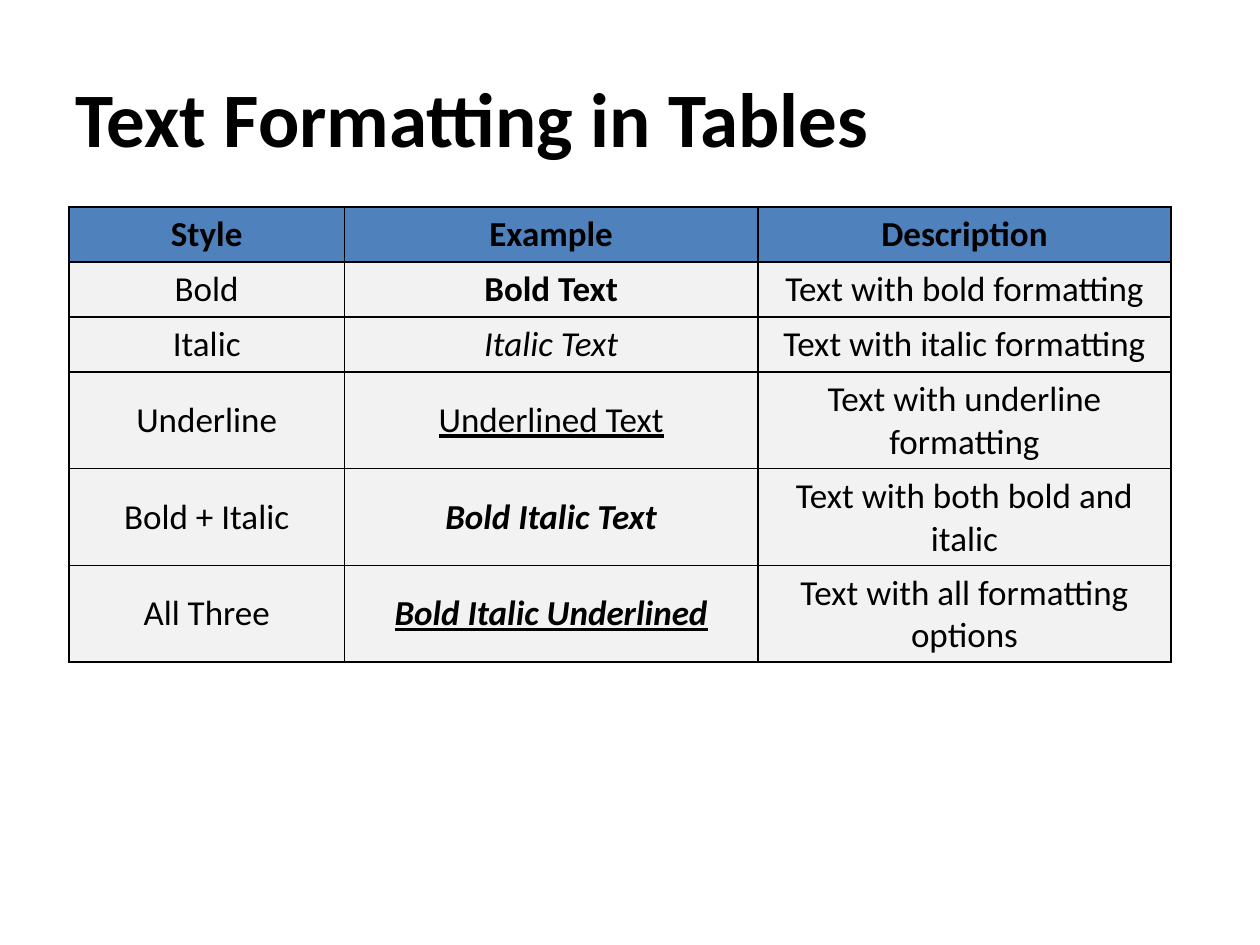
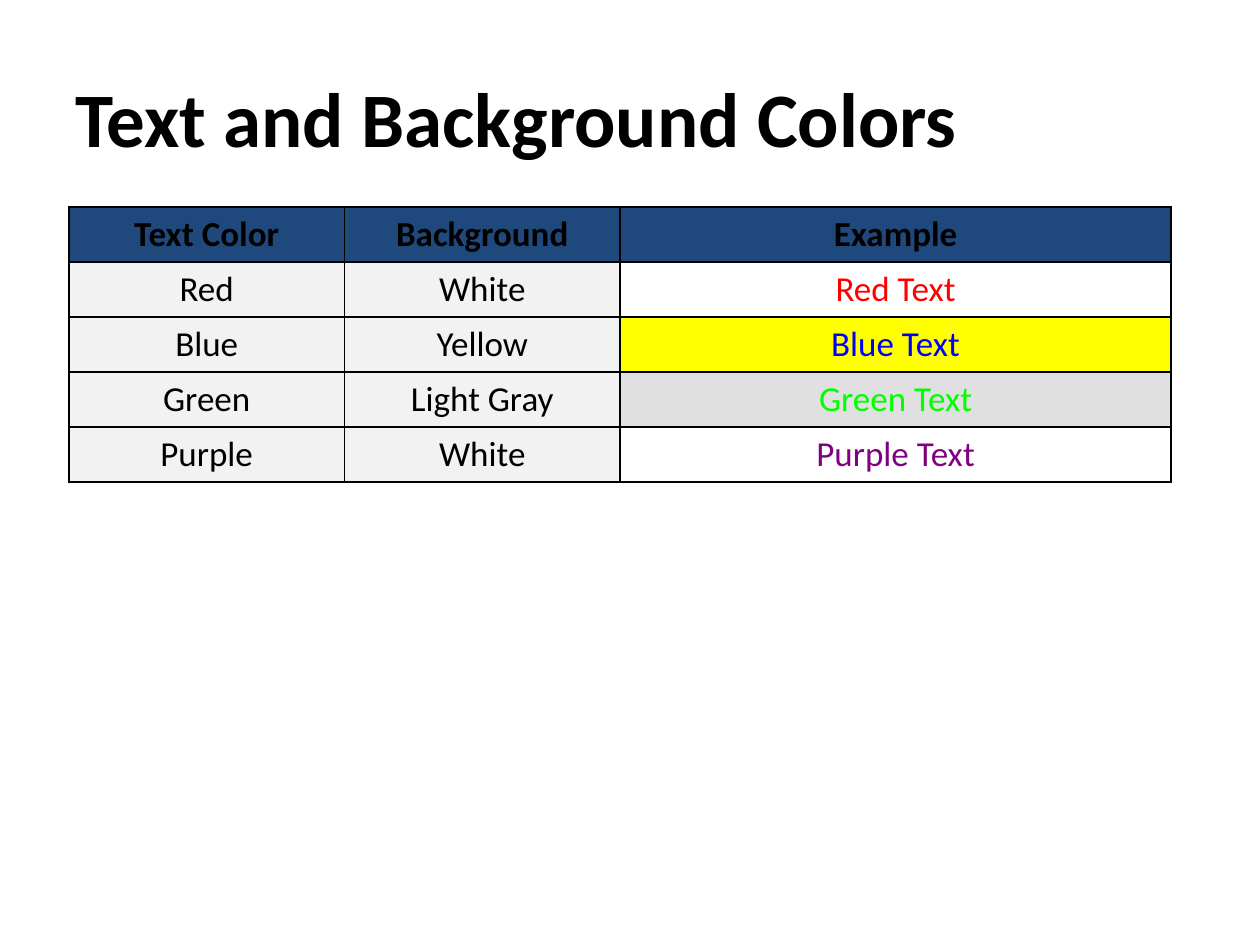
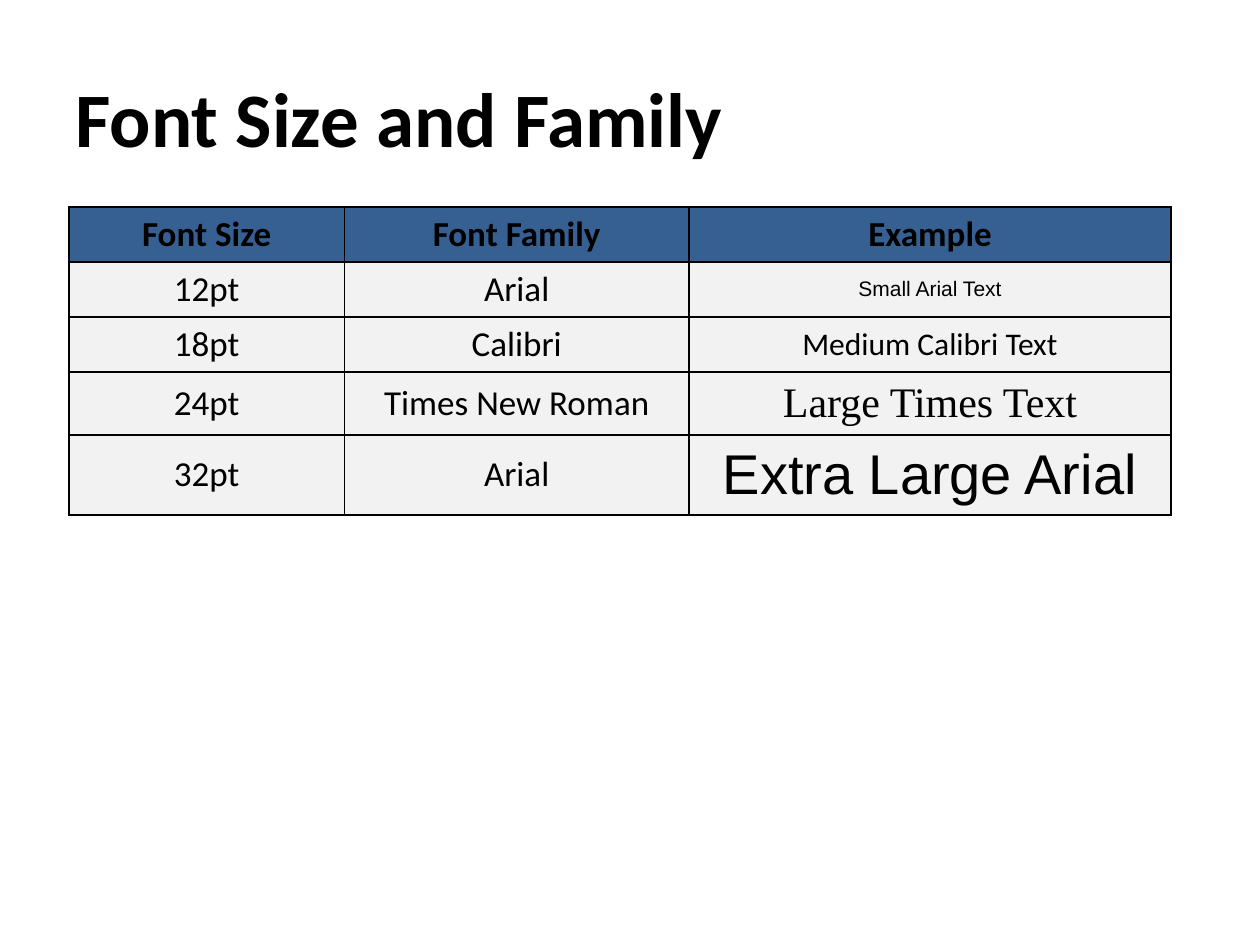
from pptx import Presentation
from pptx import util as u
from pptx.dml import color
from pptx.enum import text
from pptx.oxml import parse_xml
from pptx.oxml.ns import nsdecls

BLACK, WHITE, LIGHT = "000000", "FFFFFF", "F2F2F2"
TABLE_LEFT, TABLE_TOP, TABLE_WIDTH, ROW_HEIGHT = 1.39, 4.17, 22.22, 1.11


def paint(fill, hex_color):
    fill.solid()
    fill.fore_color.rgb = color.RGBColor.from_string(hex_color)


def write(frame, words, size=20, name="Calibri", hex_color=BLACK, **emphasis):
    paragraph = frame.paragraphs[0]
    paragraph.text = words
    font = paragraph.font
    font.size, font.name = u.Pt(size), name
    paint(font.fill, hex_color)
    for attribute, value in emphasis.items():
        setattr(font, attribute, value)
    return paragraph


# Title, header colour, column shares in eighths, headings, example column,
# then for each row its words and the format and fill of its example
topics = [
    ("Text Formatting in Tables", "4F81BD", (2, 3, 3),
     ("Style", "Example", "Description"), 1, [
        (("Bold", "Bold Text", "Text with bold formatting"),
         dict(bold=True), LIGHT),
        (("Italic", "Italic Text", "Text with italic formatting"),
         dict(italic=True), LIGHT),
        (("Underline", "Underlined Text", "Text with underline formatting"),
         dict(underline=True), LIGHT),
        (("Bold + Italic", "Bold Italic Text", "Text with both bold and italic"),
         dict(bold=True, italic=True), LIGHT),
        (("All Three", "Bold Italic Underlined", "Text with all formatting options"),
         dict(bold=True, italic=True, underline=True), LIGHT),
     ]),
    ("Text and Background Colors", "1F497D", (2, 2, 4),
     ("Text Color", "Background", "Example"), 2, [
        (("Red", "White", "Red Text"), dict(hex_color="FF0000"), WHITE),
        (("Blue", "Yellow", "Blue Text"), dict(hex_color="0000FF"), "FFFF00"),
        (("Green", "Light Gray", "Green Text"), dict(hex_color="00FF00"), "E0E0E0"),
        (("Purple", "White", "Purple Text"), dict(hex_color="800080"), WHITE),
     ]),
    ("Font Size and Family", "366092", (2, 2.5, 3.5),
     ("Font Size", "Font Family", "Example"), 2, [
        (("12pt", "Arial", "Small Arial Text"),
         dict(size=12, name="Arial"), LIGHT),
        (("18pt", "Calibri", "Medium Calibri Text"),
         dict(size=18), LIGHT),
        (("24pt", "Times New Roman", "Large Times Text"),
         dict(size=24, name="Times New Roman"), LIGHT),
        (("32pt", "Arial", "Extra Large Arial"),
         dict(size=32, name="Arial"), LIGHT),
     ]),
]

deck = Presentation()
deck.slide_width, deck.slide_height = u.Cm(25.4), u.Cm(19.05)

for title, header_color, shares, headings, example_column, examples in topics:
    slide = deck.slides.add_slide(deck.slide_layouts[6])

    # Title
    heading = slide.shapes.add_textbox(u.Cm(1.27), u.Cm(0.76), u.Cm(22.86), u.Cm(3.18)).text_frame
    heading.word_wrap = True
    heading.vertical_anchor = text.MSO_ANCHOR.MIDDLE
    write(heading, title, size=44, bold=True)

    # Table grid
    rows = [(headings, {}, header_color)] + examples
    table = slide.shapes.add_table(
        len(rows), len(shares), u.Cm(TABLE_LEFT), u.Cm(TABLE_TOP),
        u.Cm(TABLE_WIDTH), u.Cm(ROW_HEIGHT * len(rows))).table
    table.horz_banding = False
    for column, share in zip(table.columns, shares):
        column.width = u.Cm(TABLE_WIDTH * share / 8)

    # Cells
    for r, (words, example_format, example_fill) in enumerate(rows):
        for c, label in enumerate(words):
            cell = table.cell(r, c)
            is_example = r > 0 and c == example_column
            cell_format = {"bold": r == 0}
            if is_example:
                cell_format.update(example_format)
            write(cell.text_frame, label, **cell_format).alignment = text.PP_ALIGN.CENTER
            cell.vertical_anchor = text.MSO_ANCHOR.MIDDLE
            for side in "LRTB":
                cell._tc.get_or_add_tcPr().append(parse_xml(
                    f'<a:ln{side} {nsdecls("a")} w="12700"><a:solidFill>'
                    f'<a:srgbClr val="{BLACK}"/></a:solidFill></a:ln{side}>'))
            paint(cell.fill, example_fill if is_example or r == 0 else LIGHT)

deck.save("out.pptx")
